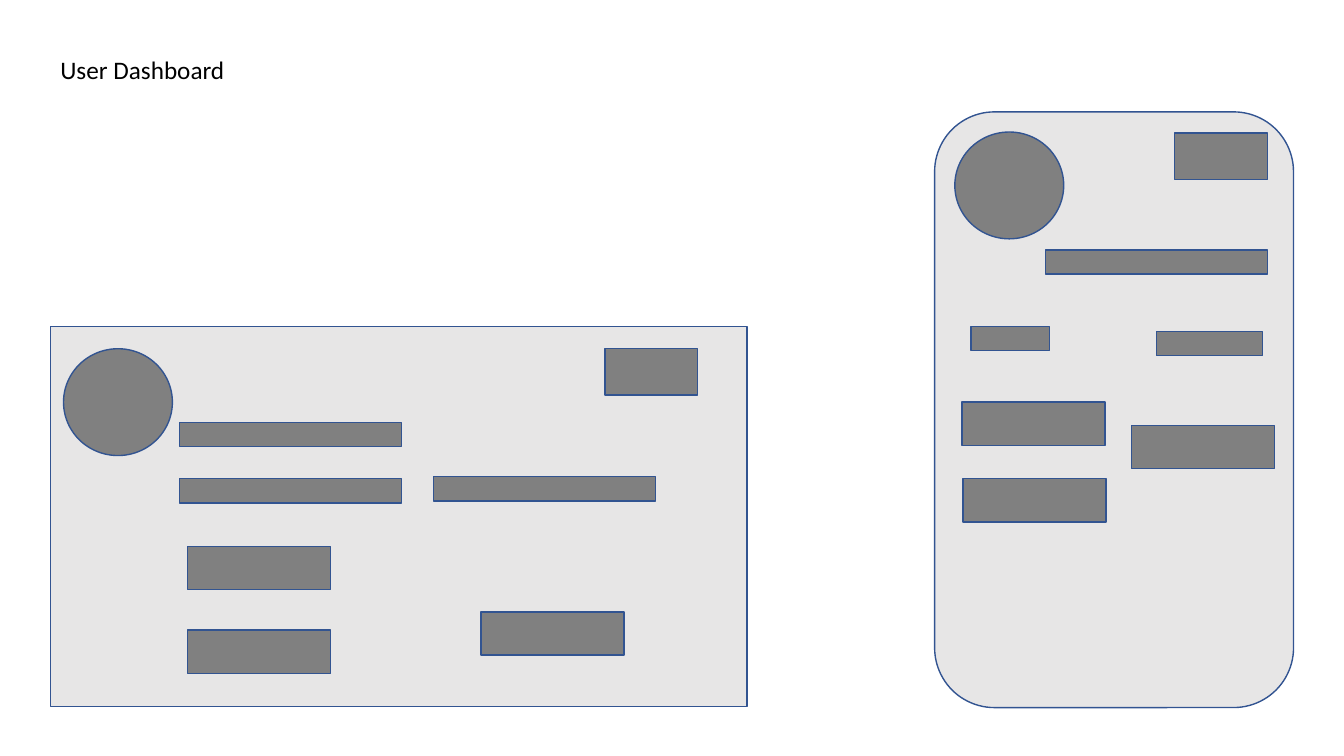
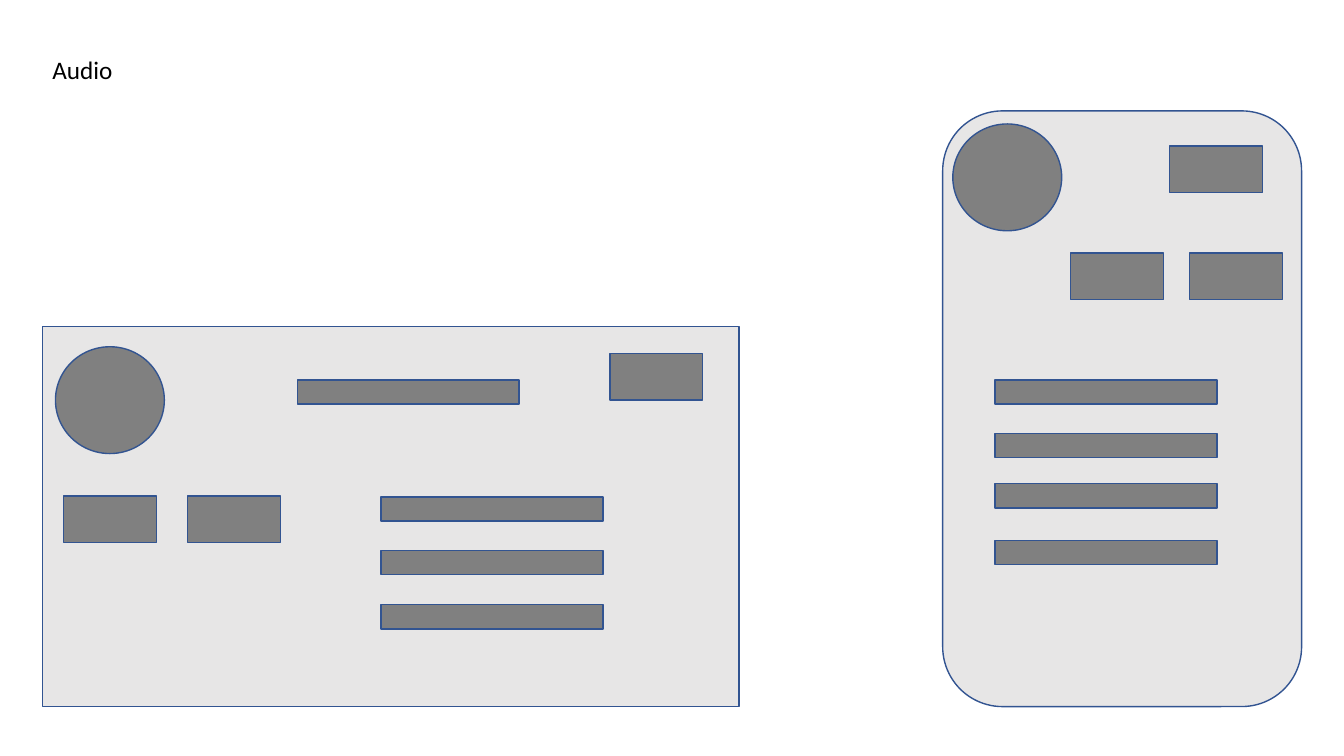
from dataclasses import dataclass

from pptx import Presentation
from pptx import util as u
from pptx.dml.color import RGBColor
from pptx.enum import shapes, text

KIND = shapes.MSO_SHAPE


@dataclass(frozen=True)
class Theme:
    """Colours and type sizes shared by the slides."""
    panel: RGBColor = RGBColor.from_string("E7E6E6")
    block: RGBColor = RGBColor.from_string("808080")
    line: RGBColor = RGBColor.from_string("325491")
    ink: RGBColor = RGBColor.from_string("000000")
    font: str = "Calibri"
    title: int = 18
    stroke: int = 1


THEME = Theme()

# Wireframe parts: preset shape, width, height
PARTS = {
    "avatar": (KIND.OVAL, 1.08, 1.06),
    "button": (KIND.RECTANGLE, 0.92, 0.46),
    "bar": (KIND.RECTANGLE, 2.2, 0.24),
    "card": (KIND.RECTANGLE, 1.42, 0.43),
    "tag": (KIND.RECTANGLE, 0.78, 0.24),
    "wide tag": (KIND.RECTANGLE, 1.05, 0.24),
}
DESKTOP = (KIND.RECTANGLE, 6.91, 3.77)
PHONE = (KIND.ROUNDED_RECTANGLE, 3.56, 5.91)


def add_box(s, part, x, y, fill):
    """Draw one outlined shape with its corner at x, y."""
    kind, w, h = part
    sp = s.shapes.add_shape(kind, *map(u.Inches, (x, y, w, h)))
    sp.shadow.inherit = False
    sp.fill.solid()
    sp.fill.fore_color.rgb = fill
    sp.line.color.rgb = THEME.line
    sp.line.width = u.Pt(THEME.stroke)


def add_screen(s, frame, x, y, layout):
    """Draw a device frame and its parts, placed relative to its corner."""
    add_box(s, frame, x, y, THEME.panel)
    for name, spots in layout.items():
        for dx, dy in spots:
            add_box(s, PARTS[name], x + dx, y + dy, THEME.block)


def add_title(s, label, x, width, wrap):
    """Place the slide title in a box that starts at x."""
    sp = s.shapes.add_textbox(*map(u.Inches, (x, 0.49, width, 0.4)))
    tf = sp.text_frame
    tf.word_wrap = wrap
    tf.auto_size = text.MSO_AUTO_SIZE.SHAPE_TO_FIT_TEXT
    r = tf.paragraphs[0].add_run()
    r.text = label
    r.font.name = THEME.font
    r.font.size = u.Pt(THEME.title)
    r.font.color.rgb = THEME.ink


def dashboard_slide(s):
    """User dashboard as desktop and phone wireframes."""
    add_screen(s, DESKTOP, 0.5, 3.24, {
        "avatar": [(0.13, 0.22)],
        "card": [(1.36, 2.18), (1.36, 3.01), (4.27, 2.83)],
        "bar": [(1.28, 0.95), (1.28, 1.51), (3.8, 1.49)],
        "button": [(5.5, 0.22)],
    })
    add_screen(s, PHONE, 9.27, 1.11, {
        "avatar": [(0.2, 0.2)],
        "bar": [(1.1, 1.37)],
        "button": [(2.38, 0.21)],
        "tag": [(0.36, 2.13)],
        "wide tag": [(2.2, 2.18)],
        "card": [(0.27, 2.88), (0.28, 3.64), (1.95, 3.11)],
    })
    add_title(s, "User Dashboard", 0.5, 1.85, False)


def audio_slide(s):
    """Audio page as desktop and phone wireframes."""
    add_screen(s, DESKTOP, 0.42, 3.24, {
        "avatar": [(0.13, 0.2)],
        "button": [(0.21, 1.68), (1.44, 1.68), (5.63, 0.27)],
        "bar": [(2.53, 0.53)] + [(3.36, dy) for dy in (1.69, 2.22, 2.76)],
    })
    add_screen(s, PHONE, 9.35, 1.1, {
        "avatar": [(0.1, 0.13)],
        "button": [(2.25, 0.35), (1.27, 1.41), (2.45, 1.41)],
        "bar": [(0.52, dy) for dy in (2.67, 3.2, 3.7, 4.26)],
    })
    add_title(s, "Audio", 0.42, 5.61, True)


prs = Presentation()
prs.slide_width, prs.slide_height = u.Inches(13.33), u.Inches(7.5)
for build in (dashboard_slide, audio_slide):
    build(prs.slides.add_slide(prs.slide_layouts[6]))
prs.save("out.pptx")
